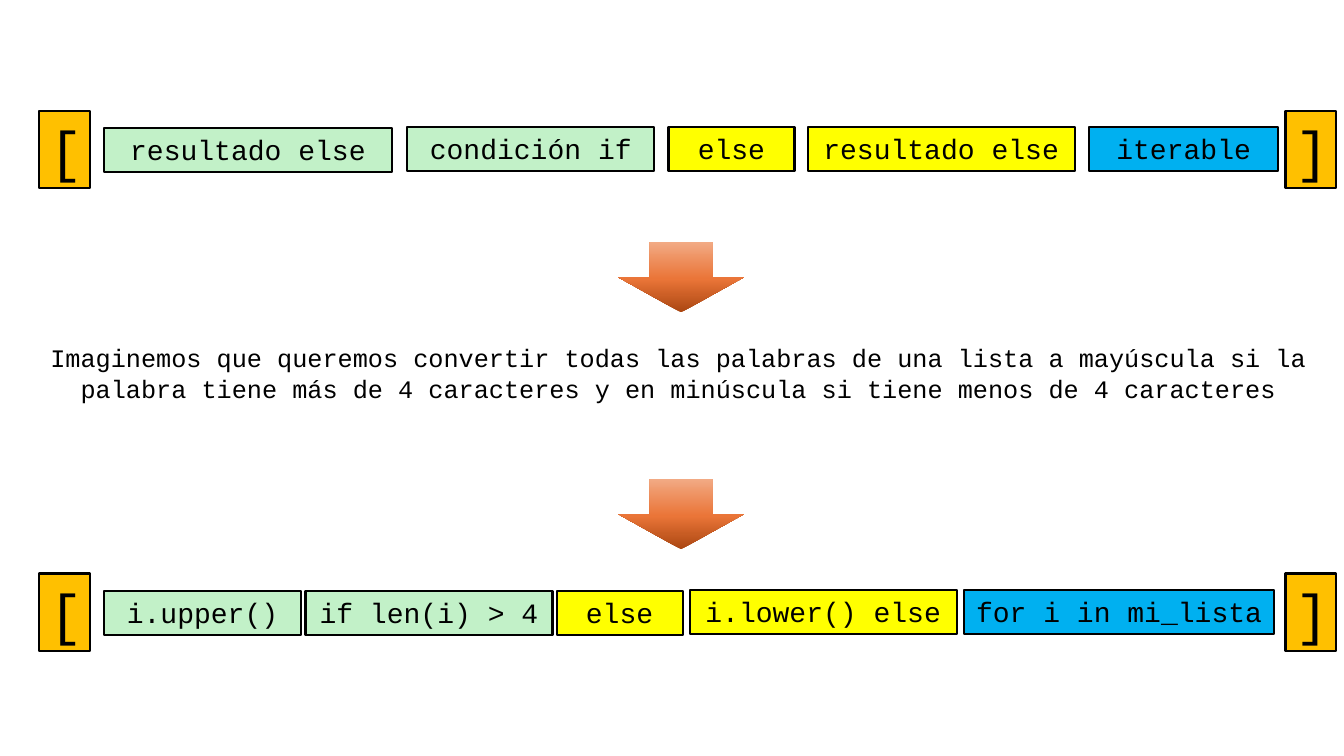
import copy
import pptx
import pptx.util
import pptx.dml.color
import pptx.enum.shapes
import pptx.enum.text

Inches = pptx.util.Inches
RGBColor = pptx.dml.color.RGBColor
SHAPES = pptx.enum.shapes.MSO_SHAPE
ALIGN = pptx.enum.text.PP_ALIGN

BLACK = RGBColor(0x00, 0x00, 0x00)
ORANGE = RGBColor(0xFF, 0xC0, 0x00)
GREEN = RGBColor(0xC2, 0xF1, 0xC8)
YELLOW = RGBColor(0xFF, 0xFF, 0x00)
BLUE = RGBColor(0x00, 0xB0, 0xF0)
ARROW_STOPS = [
    (0, RGBColor(0xAB, 0x47, 0x12)),
    (0.48, RGBColor(0xEA, 0x75, 0x38)),
    (1, RGBColor(0xF2, 0xAA, 0x84)),
]
FONT = "Courier New"

EXPLANATION = (
    "Imaginemos que queremos convertir todas las palabras de una lista a mayúscula "
    "si la palabra tiene más de 4 caracteres y en minúscula si tiene menos de 4 caracteres"
)
ROWS = [
    (1.1, [
        ("resultado else", 1.03, 0.17, 2.86, GREEN),
        ("condición if", 4.04, 0.16, 2.45, GREEN),
        ("else", 6.63, 0.16, 1.25, YELLOW),
        ("resultado else", 8.01, 0.16, 2.65, YELLOW),
        ("iterable", 10.8, 0.16, 1.88, BLUE),
    ]),
    (5.69, [
        ("i.upper()", 1.03, 0.17, 1.96, GREEN),
        ("if len(i) > 4", 3.03, 0.17, 2.45, GREEN),
        ("else", 5.52, 0.17, 1.25, YELLOW),
        ("i.lower() else", 6.84, 0.16, 2.65, YELLOW),
        ("for i in mi_lista", 9.56, 0.16, 3.08, BLUE),
    ]),
]
BRACKETS = [("[", 0.39), ("]", 12.75)]
ARROW_TOPS = [2.4, 4.75]


def write_text(shape, text, size, alignment):
    frame = shape.text_frame
    frame.word_wrap = True
    frame.auto_size = pptx.enum.text.MSO_AUTO_SIZE.SHAPE_TO_FIT_TEXT
    frame.vertical_anchor = pptx.enum.text.MSO_ANCHOR.TOP
    frame.text = text
    paragraph = frame.paragraphs[0]
    paragraph.alignment = alignment
    paragraph.font.name = FONT
    paragraph.font.size = pptx.util.Pt(size)
    paragraph.font.color.rgb = BLACK


def add_box(slide, text, left, top, width, height, color, size, alignment):
    shape = slide.shapes.add_shape(
        SHAPES.RECTANGLE, Inches(left), Inches(top), Inches(width), Inches(height))
    shape.shadow.inherit = False
    shape.fill.solid()
    shape.fill.fore_color.rgb = color
    shape.line.color.rgb = BLACK
    shape.line.width = pptx.util.Pt(1.5)
    write_text(shape, text, size, alignment)


def add_arrow(slide, top):
    arrow = slide.shapes.add_shape(
        SHAPES.DOWN_ARROW, Inches(6.13), Inches(top), Inches(1.25), Inches(0.7))
    arrow.shadow.inherit = False
    arrow.line.fill.background()
    arrow.fill.gradient()
    arrow.fill.gradient_angle = 90
    stop_list = arrow.element.xpath(".//a:gsLst")[0]
    stop_list.append(copy.deepcopy(stop_list[0]))
    for stop, (position, color) in zip(arrow.fill.gradient_stops, ARROW_STOPS):
        stop.position = position
        stop.color.rgb = color


def main():
    presentation = pptx.Presentation()
    presentation.slide_width = Inches(13.33)
    presentation.slide_height = Inches(7.5)
    slide = presentation.slides.add_slide(presentation.slide_layouts[6])

    for top in ARROW_TOPS:
        add_arrow(slide, top)

    explanation = slide.shapes.add_textbox(
        Inches(0.39), Inches(3.35), Inches(12.67), Inches(0.71))
    write_text(explanation, EXPLANATION, 18, ALIGN.CENTER)

    for row_top, parts in ROWS:
        for bracket, left in BRACKETS:
            add_box(slide, bracket, left, row_top, 0.5, 0.77, ORANGE, 40, ALIGN.LEFT)
        for text, left, offset, width, color in parts:
            add_box(slide, text, left, row_top + offset, width, 0.44, color, 20, ALIGN.CENTER)

    presentation.save("out.pptx")


if __name__ == "__main__":
    main()
